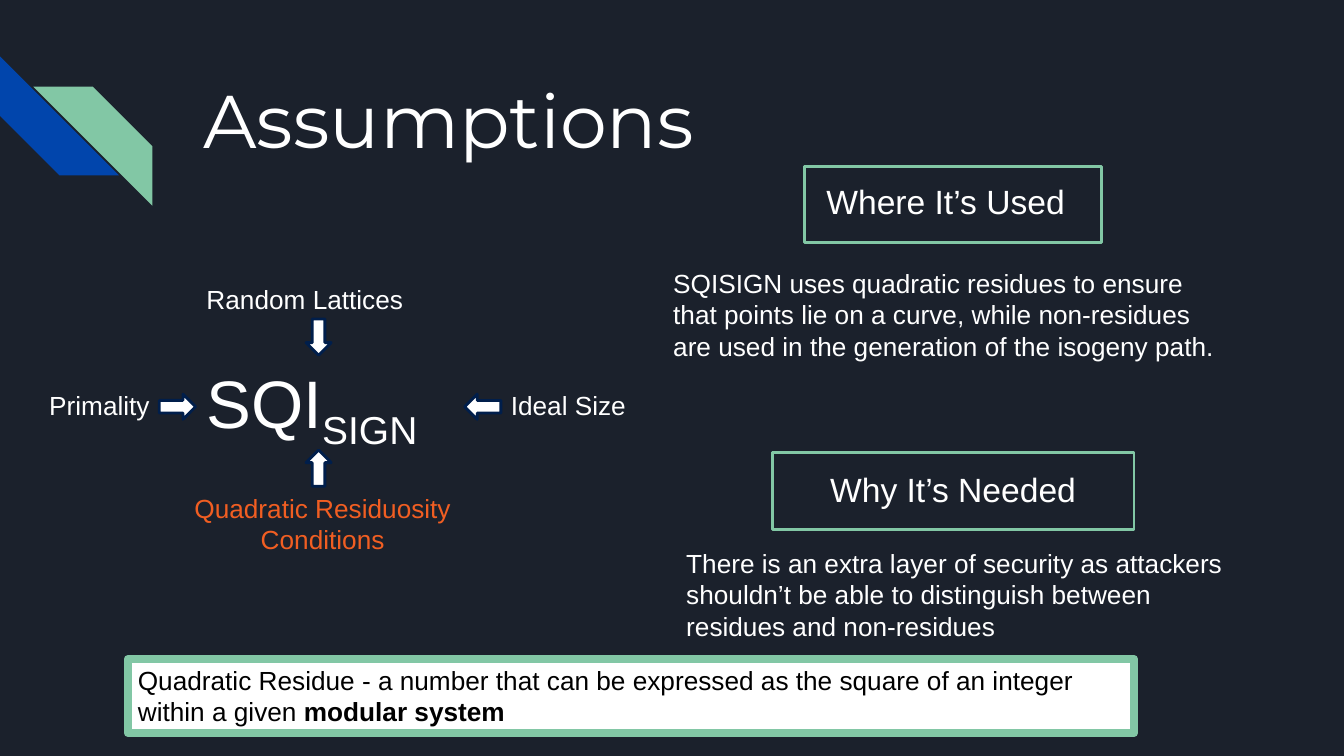
from dataclasses import dataclass

from pptx import Presentation
from pptx.dml.color import RGBColor
from pptx.enum.shapes import MSO_SHAPE
from pptx.enum.text import MSO_ANCHOR, PP_ALIGN
from pptx.util import Pt

RECTANGLE = MSO_SHAPE.RECTANGLE
STRIPE = MSO_SHAPE.DIAGONAL_STRIPE
ARROW = MSO_SHAPE.RIGHT_ARROW
LEFT, CENTER = PP_ALIGN.LEFT, PP_ALIGN.CENTER
MIDDLE = MSO_ANCHOR.MIDDLE


@dataclass(frozen=True)
class Theme:
    background: RGBColor = RGBColor(0x1B, 0x21, 0x2C)
    blue: RGBColor = RGBColor(0x01, 0x45, 0xAC)
    navy: RGBColor = RGBColor(0x00, 0x1E, 0x4B)
    green: RGBColor = RGBColor(0x82, 0xC7, 0xA5)
    orange: RGBColor = RGBColor(0xF1, 0x5E, 0x22)
    white: RGBColor = RGBColor(0xFF, 0xFF, 0xFF)
    black: RGBColor = RGBColor(0x00, 0x00, 0x00)
    title_font: str = "Montserrat"
    body_font: str = "Arial"
    title_size: float = 53.3
    name_size: float = 48
    heading_size: float = 24
    body_size: float = 18.7


theme = Theme()
deck = Presentation()
deck.slide_width, deck.slide_height = Pt(960), Pt(540)
slide = deck.slides.add_slide(deck.slide_layouts[6])
slide.background.fill.solid()
slide.background.fill.fore_color.rgb = theme.background


def add_figure(kind, box, fill=None, line=None, weight=2):
    figure = slide.shapes.add_shape(kind, *map(Pt, box))
    figure.shadow.inherit = False
    if fill is None:
        figure.fill.background()
    else:
        figure.fill.solid()
        figure.fill.fore_color.rgb = fill
    if line is None:
        figure.line.fill.background()
    else:
        figure.line.color.rgb = line
        figure.line.width = Pt(weight)
    return figure


def add_text(box, lines, size=theme.body_size, color=theme.white, align=LEFT,
             font=theme.body_font):
    """Each line is a list of run texts."""
    frame = slide.shapes.add_textbox(*map(Pt, box)).text_frame
    frame.word_wrap = True
    for index, pieces in enumerate(lines):
        paragraph = frame.paragraphs[0] if index == 0 else frame.add_paragraph()
        paragraph.alignment = align
        for piece in pieces:
            run = paragraph.add_run()
            run.text = piece
            run.font.name, run.font.size = font, Pt(size)
            run.font.color.rgb = color
    return frame


# Corner stripes
blue_stripe = add_figure(STRIPE, (0, 40.3, 85, 85), theme.blue)
blue_stripe.rotation = 270
green_stripe = add_figure(STRIPE, (23.8, 61.9, 85, 85), theme.green)
green_stripe._element.spPr.xfrm.set("flipH", "1")

# Title
title = add_text((136, 41, 738.7, 95.8), [["Assumptions"]], theme.title_size,
                 font=theme.title_font)
title.margin_left = title.margin_right = Pt(9.6)
title.margin_top = title.margin_bottom = Pt(9.6)
title.vertical_anchor = MIDDLE
title.paragraphs[0].line_spacing = 0.9

# Arrows pointing at the scheme name
for left, top, angle in [(113.8, 281.5, 0), (331.9, 281.5, 180),
                         (214.6, 325.4, 270), (214.6, 231.8, 90)]:
    arrow = add_figure(ARROW, (left, top, 25.9, 18), theme.white, theme.navy)
    arrow.rotation = angle

# Scheme name and its four assumptions
scheme = add_text((140.4, 254.2, 186.5, 65.5), [["SQI", "SIGN"]], theme.name_size)
scheme.paragraphs[0].runs[1].font._element.set("baseline", "-25000")
add_text((28.1, 274.3, 99.4, 30.2), [["Primality"]])
add_text((357.8, 274.3, 103.7, 30.2), [["Ideal Size"]])
add_text((140.4, 198.7, 207.4, 30.2), [["Random Lattices"]])
add_text((126.7, 347.8, 207.4, 52.6), [["Quadratic Residuosity"], ["Conditions"]],
         color=theme.orange, align=CENTER)

# Use and need: framed heading above an explanation
sections = [
    ((574.6, 118.8, 212.4, 54.7), (583.2, 126, 258.5, 36), LEFT, "Where It’s Used",
     (473.8, 187.2, 414.7, 74.9),
     "SQISIGN uses quadratic residues to ensure that points lie on a curve, while "
     "non-residues are used in the generation of the isogeny path."),
    ((551.5, 323.3, 258.5, 54.7), (551.5, 331.2, 258.5, 36), CENTER, "Why It’s Needed",
     (483.1, 387.4, 414.7, 74.9),
     "There is an extra layer of security as attackers shouldn’t be able to "
     "distinguish between residues and non-residues"),
]
for frame_box, heading_box, align, heading, body_box, body in sections:
    add_figure(RECTANGLE, frame_box, line=theme.green)
    add_text(heading_box, [[heading]], theme.heading_size, align=align)
    add_text(body_box, [[body]])

# Definition
definition_box = (91.4, 470.9, 718.6, 52.6)
add_figure(RECTANGLE, definition_box, theme.white, theme.green, 6)
definition = add_text(definition_box, [[
    "Quadratic Residue - a number that can be expressed as the square of an integer "
    "within a given ", "modular system"]], color=theme.black)
definition.paragraphs[0].runs[1].font.bold = True

deck.save("out.pptx")
